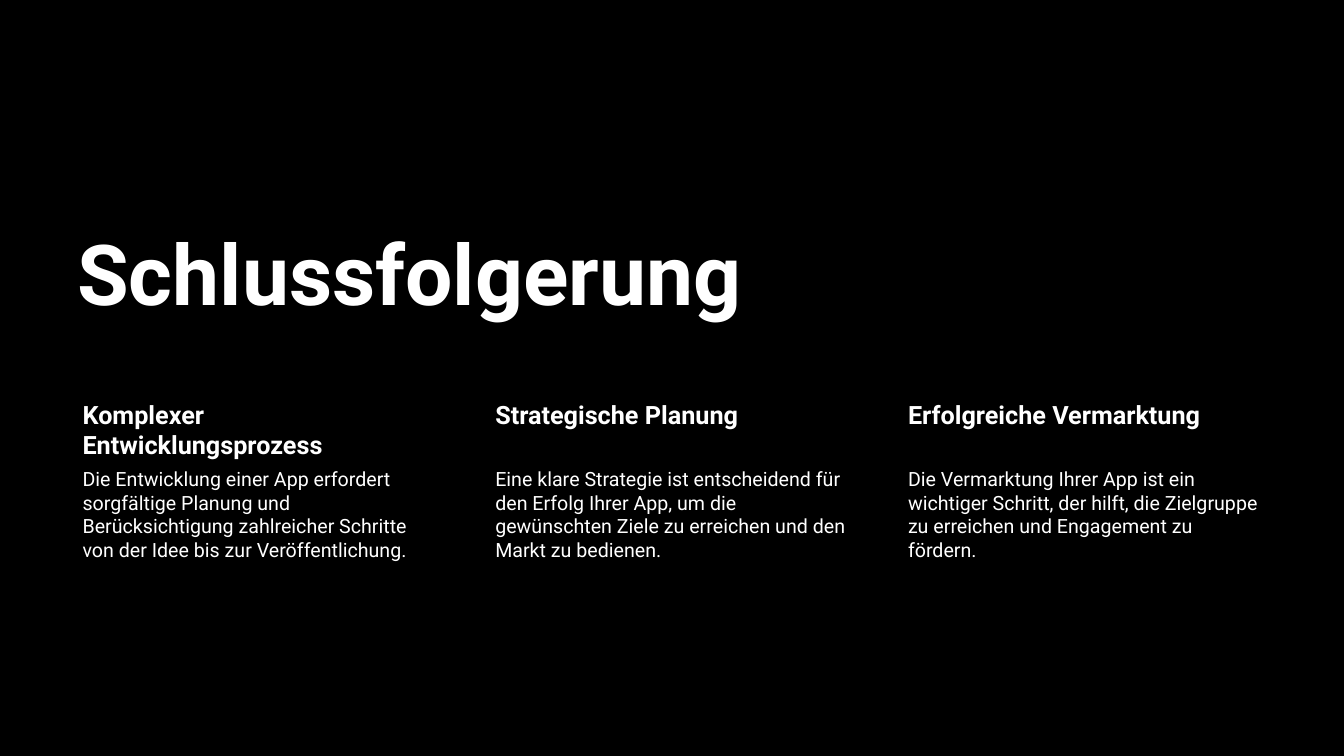
from pptx import Presentation
from pptx.dml.color import RGBColor
from pptx.enum.text import MSO_ANCHOR
from pptx.util import Pt

MARGIN = 48.2
COLUMN_WIDTH, COLUMN_PITCH = 267.8, 294.8
HEADING_TOP, HEADING_HEIGHT = 283, 49
BODY_HEIGHT = 148.3

CONCLUSIONS = [
    ("Komplexer Entwicklungsprozess",
     "Die Entwicklung einer App erfordert sorgfältige Planung und "
     "Berücksichtigung zahlreicher Schritte von der Idee bis zur "
     "Veröffentlichung."),
    ("Strategische Planung",
     "Eine klare Strategie ist entscheidend für den Erfolg Ihrer App, um die "
     "gewünschten Ziele zu erreichen und den Markt zu bedienen."),
    ("Erfolgreiche Vermarktung",
     "Die Vermarktung Ihrer App ist ein wichtiger Schritt, der hilft, die "
     "Zielgruppe zu erreichen und Engagement zu fördern."),
]


def color(hex_string):
    return RGBColor.from_string(hex_string)


def write(frame, text, size, bold=False, ink="FFFFFF", font="Roboto",
          line_spacing=None, space_after=None):
    paragraph = frame.paragraphs[0]
    paragraph.line_spacing = line_spacing
    if space_after is not None:
        paragraph.space_after = Pt(space_after)
    run = paragraph.add_run()
    run.text = text
    run.font.name = font
    run.font.size = Pt(size)
    run.font.bold = bold
    run.font.color.rgb = color(ink)


class ConclusionSlide:
    """Holds the slide and the style its elements share."""

    def __init__(self, slide, background="000000"):
        self.slide = slide
        slide.background.fill.solid()
        slide.background.fill.fore_color.rgb = color(background)

    def text(self, shapes, text, left, top, width, height,
             insets=(7.2, 3.6, 7.2, 3.6), anchor=MSO_ANCHOR.TOP, **text_format):
        """Add a text box; insets run left, top, right, bottom."""
        box = shapes.add_textbox(Pt(left), Pt(top), Pt(width), Pt(height))
        frame = box.text_frame
        frame.word_wrap = True
        frame.vertical_anchor = anchor
        (frame.margin_left, frame.margin_top,
         frame.margin_right, frame.margin_bottom) = map(Pt, insets)
        write(frame, text, **text_format)

    def title(self, text):
        self.text(self.slide.shapes, text, MARGIN, 145.4, 578.2, 89.3,
                  anchor=MSO_ANCHOR.BOTTOM, size=60, bold=True,
                  line_spacing=0.9)

    def columns(self, conclusions):
        shapes = self.slide.shapes.add_group_shape().shapes
        for index, (heading, body) in enumerate(conclusions):
            left = MARGIN + index * COLUMN_PITCH
            self.text(shapes, heading, left, HEADING_TOP, COLUMN_WIDTH,
                      HEADING_HEIGHT, insets=(10.8, 2, 2, 2), size=18,
                      bold=True, space_after=6.3)
            self.text(shapes, body, left, HEADING_TOP + HEADING_HEIGHT,
                      COLUMN_WIDTH, BODY_HEIGHT, insets=(10.8, 1.6, 1.6, 1.6),
                      size=14, space_after=4.9)


def main():
    presentation = Presentation()
    presentation.slide_width, presentation.slide_height = Pt(960), Pt(540)
    blank_layout = presentation.slide_layouts[6]
    conclusion = ConclusionSlide(presentation.slides.add_slide(blank_layout))
    conclusion.title("Schlussfolgerung")
    conclusion.columns(CONCLUSIONS)
    presentation.save("out.pptx")


if __name__ == "__main__":
    main()
